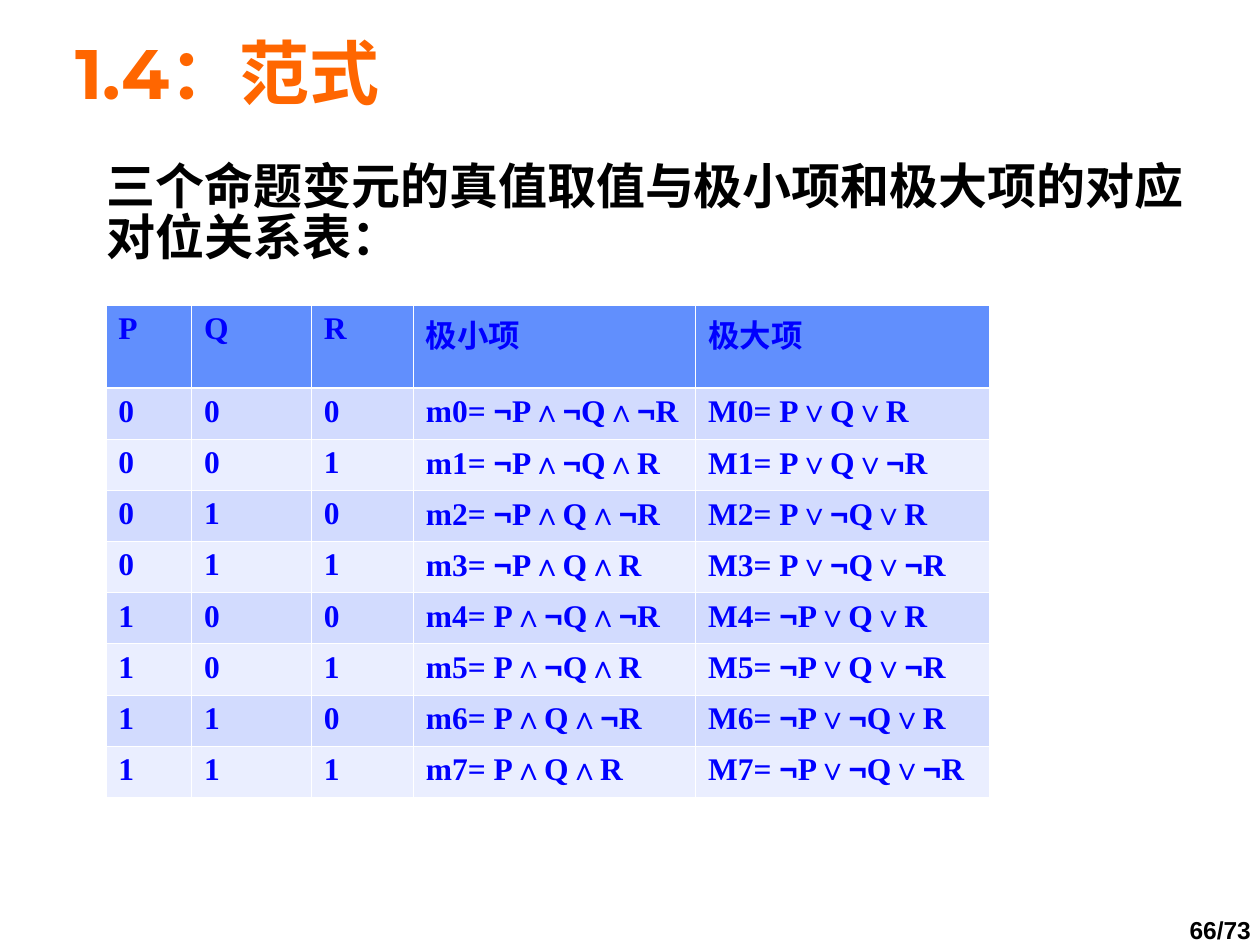
from dataclasses import dataclass
from itertools import product
from typing import Any

from lxml import etree
from pptx import Presentation, util as u
from pptx.dml.color import RGBColor
from pptx.enum import text as t
from pptx.oxml.ns import qn

GRID = u.Inches(0.25)  # 40 columns by 30 rows
COLORS = {"title": "FF6600", "ink": "000000", "entry": "0000FF", "rule": "FFFFFF",
          "header": "618FFD", "band_dark": "D2DBFE", "band_light": "EAEEFF"}
SERIF, SANS, DISPLAY = "Times New Roman", "Arial", "Montserrat"
VARIABLES = "PQR"
COLUMN_WIDTHS = (2.72, 3.8, 3.24, 8.96, 9.32)
HEADER_HEIGHT, ROW_HEIGHT = 2.64, 1.625
THIN, THICK = 0.45, 1.47


@dataclass(frozen=True)
class Area:
    """A place on the grid, in columns and rows."""
    column: float
    row: float
    columns: float
    rows: float

    def lengths(self) -> list[int]:
        return [cells(n) for n in (self.column, self.row, self.columns, self.rows)]


@dataclass(frozen=True)
class Style:
    font: str
    size: float
    color: str


@dataclass(frozen=True)
class Block:
    wording: str
    area: Area
    style: Style
    frame: dict[str, Any]
    paragraph: dict[str, Any]


TITLE = Block("1.4：范式", Area(2, 1, 36, 2.8), Style(DISPLAY, 40, "title"),
              {"vertical_anchor": t.MSO_ANCHOR.MIDDLE, "word_wrap": True,
               "auto_size": t.MSO_AUTO_SIZE.NONE},
              {"alignment": t.PP_ALIGN.LEFT, "line_spacing": 0.93,
               "space_before": u.Pt(12.5)})
INTRO = Block("三个命题变元的真值取值与极小项和极大项的对应对位关系表：",
              Area(2, 5, 36.68, 24), Style(SERIF, 28, "ink"),
              {"vertical_anchor": t.MSO_ANCHOR.TOP, "word_wrap": True},
              {"line_spacing": 0.87, "space_before": u.Pt(11.9)})
PAGE = Block("66/73", Area(35.92, 29, 5.64, 1.2), Style(SANS, 14, "ink"),
             {"vertical_anchor": t.MSO_ANCHOR.MIDDLE, "word_wrap": False},
             {"alignment": t.PP_ALIGN.CENTER, "line_spacing": 0.85,
              "space_before": u.Pt(8.8)})
ENTRY = Style(SERIF, 18, "entry")
NEGATION = Style(SANS, 18, "entry")


def cells(count: float) -> int:
    return round(count * GRID)


def set_all(target: Any, values: dict[str, Any]) -> None:
    for name, value in values.items():
        setattr(target, name, value)


def add_run(paragraph: Any, wording: str, style: Style) -> None:
    run = paragraph.add_run()
    run.text = wording
    set_all(run.font, {"name": style.font, "size": u.Pt(style.size), "bold": True})
    run.font.color.rgb = RGBColor.from_string(COLORS[style.color])


def write_block(shape: Any, block: Block) -> Any:
    """Place and fill a text shape, and return its paragraph."""
    set_all(shape, dict(zip(("left", "top", "width", "height"), block.area.lengths())))
    set_all(shape.text_frame, block.frame)
    paragraph = shape.text_frame.paragraphs[0]
    set_all(paragraph, block.paragraph)
    add_run(paragraph, block.wording, block.style)
    return paragraph


def add_block(slide: Any, block: Block) -> Any:
    return write_block(slide.shapes.add_textbox(*block.area.lengths()), block)


def write_formula(paragraph: Any, formula: str) -> None:
    """Set each negation sign in its own font."""
    for number, part in enumerate(formula.split("¬")):
        if number:
            add_run(paragraph, "¬", NEGATION)
        if part:
            add_run(paragraph, part, ENTRY)


def join_literals(values: tuple[int, ...], negated: int, operator: str) -> str:
    return operator.join("¬" * (value == negated) + name
                         for name, value in zip(VARIABLES, values))


def truth_rows() -> list[list[str]]:
    rows = [[*VARIABLES, "极小项", "极大项"]]
    for index, values in enumerate(product((0, 1), repeat=len(VARIABLES))):
        rows.append([*map(str, values),
                     f"m{index}= {join_literals(values, 0, '∧')}",
                     f"M{index}= {join_literals(values, 1, '∨')}"])
    return rows


def set_borders(cell: Any, top: float, bottom: float) -> None:
    properties = cell._tc.get_or_add_tcPr()
    widths = {"lnL": THIN, "lnR": THIN, "lnT": top, "lnB": bottom}
    for position, (side, width) in enumerate(widths.items()):
        line = etree.Element(qn(f"a:{side}"), w=str(u.Pt(width)))
        fill = etree.SubElement(line, qn("a:solidFill"))
        etree.SubElement(fill, qn("a:srgbClr"), val=COLORS["rule"])
        properties.insert(position, line)


def add_truth_table(slide: Any) -> None:
    rows = truth_rows()
    heights = [HEADER_HEIGHT] + [ROW_HEIGHT] * (len(rows) - 1)
    area = Area(3.36, 9.68, sum(COLUMN_WIDTHS), sum(heights))
    table = slide.shapes.add_table(len(rows), len(COLUMN_WIDTHS), *area.lengths()).table
    for column, width in zip(table.columns, COLUMN_WIDTHS):
        column.width = cells(width)
    for number, (row, height, entries) in enumerate(zip(table.rows, heights, rows)):
        row.height = cells(height)
        band = "header" if number == 0 else ("band_light", "band_dark")[number % 2]
        for cell, entry in zip(row.cells, entries):
            cell.fill.solid()
            cell.fill.fore_color.rgb = RGBColor.from_string(COLORS[band])
            set_borders(cell, THICK if number == 1 else THIN,
                        THICK if number == 0 else THIN)
            write_formula(cell.text_frame.paragraphs[0], entry)


def main() -> None:
    deck = Presentation()
    set_all(deck, {"slide_width": 40 * GRID, "slide_height": 30 * GRID})
    slide = deck.slides.add_slide(deck.slide_layouts[5])
    write_block(slide.shapes.title, TITLE)
    intro = add_block(slide, INTRO)
    intro._p.get_or_add_pPr().set("marL", str(GRID))
    add_truth_table(slide)
    add_block(slide, PAGE)
    deck.save("out.pptx")


if __name__ == "__main__":
    main()
